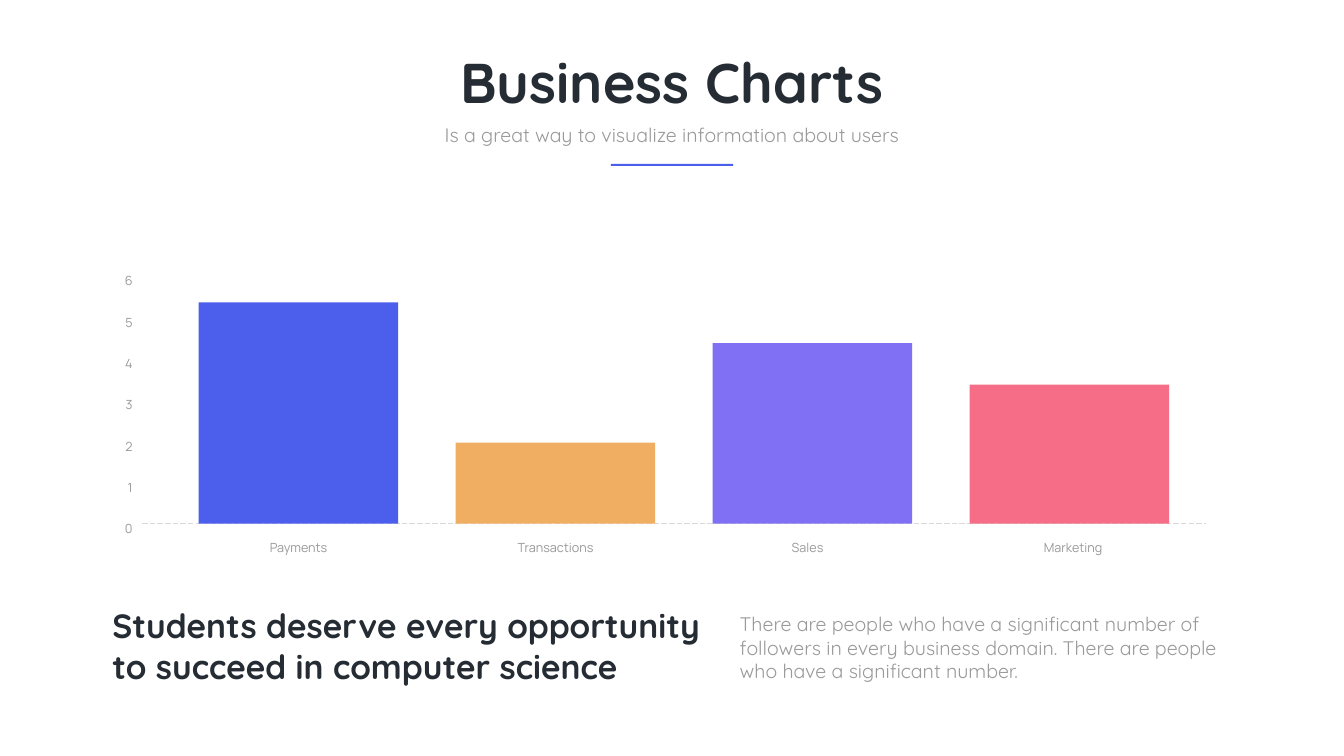
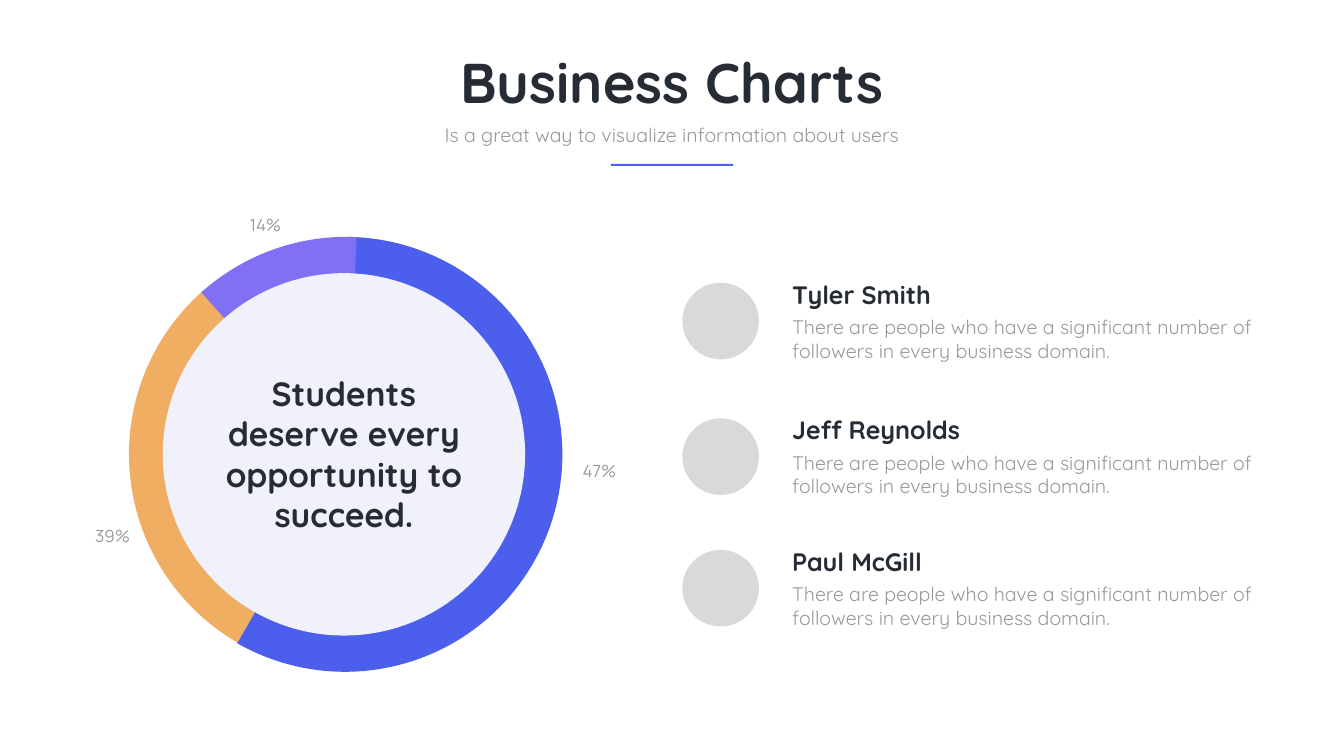
from dataclasses import dataclass
from lxml.etree import SubElement
from pptx import Presentation
from pptx.dml.color import RGBColor
from pptx.enum.dml import MSO_LINE
from pptx.enum.shapes import MSO_CONNECTOR, MSO_SHAPE
from pptx.enum.text import MSO_ANCHOR, MSO_AUTO_SIZE, PP_ALIGN
from pptx.oxml.ns import qn
from pptx.util import Pt

PX = 9144
PEOPLE_TEXT = "There are people who have a significant number of followers in every business domain."


@dataclass(frozen=True)
class Theme:
    """Colours, fonts and type styles shared by the slides."""

    ink: str = "252C34"
    grey: str = "999999"
    pale: str = "D9D9D9"
    lavender: str = "F0F1FA"
    blue: str = "4C5FEC"
    orange: str = "F0AE62"
    purple: str = "7F70F4"
    pink: str = "F56D87"
    heading_font: str = "Quicksand"
    label_font: str = "Manrope"
    label_spacing: float = 35.6

    def style(self, name):
        """Return font name, size, bold and colour for a text style."""
        return {
            "title": (self.heading_font, 80, True, self.ink),
            "statement": (self.heading_font, 48, True, self.ink),
            "name": (self.heading_font, 36, True, self.ink),
            "body": (self.heading_font, 28, False, self.grey),
            "value": (self.label_font, 24, False, self.grey),
            "axis": (self.label_font, 18, False, self.grey),
        }[name]


def apply(target, values):
    """Set every attribute named in a dict of format values."""
    for name, value in values.items():
        setattr(target, name, value)


def emu(*lengths):
    """Turn px lengths into EMU."""
    return [length * PX for length in lengths]


class SlideBuilder:
    """Holds the theme and the current slide and draws elements on it."""

    def __init__(self, deck, theme):
        self.deck = deck
        self.theme = theme
        self.page = None

    def start_page(self, title, subtitle):
        """Add a page with its title, subtitle and underline."""
        self.page = self.deck.slides.add_slide(self.deck.slide_layouts[5])
        box = self.page.shapes.title
        apply(box, dict(zip(("left", "top", "width", "height"), emu(688, 90, 1291, 145))))
        self.fill_text(box, title, "title", PP_ALIGN.CENTER)
        self.text((855, 238, 956, 57), subtitle, "body", PP_ALIGN.CENTER)
        self.shape(MSO_SHAPE.RECTANGLE, (1212, 325, 243, 4), self.theme.blue)

    def fill_text(self, box, words, style, align):
        """Fill a box with one formatted paragraph."""
        font_name, size, bold, colour = self.theme.style(style)
        frame = box.text_frame
        apply(frame, {"word_wrap": True, "vertical_anchor": MSO_ANCHOR.TOP,
                      "auto_size": MSO_AUTO_SIZE.SHAPE_TO_FIT_TEXT})
        para = frame.paragraphs[0]
        para.alignment = align
        if font_name == self.theme.label_font:
            para.line_spacing = Pt(self.theme.label_spacing)
        span = para.add_run()
        span.text = words
        apply(span.font, {"name": font_name, "size": Pt(size), "bold": bold})
        span.font.color.rgb = RGBColor.from_string(colour)

    def text(self, place, words, style, align=PP_ALIGN.LEFT):
        """Add a text box."""
        box = self.page.shapes.add_textbox(*emu(*place))
        self.fill_text(box, words, style, align)

    def shape(self, kind, place, colour):
        """Add a filled shape without outline or shadow."""
        shape = self.page.shapes.add_shape(kind, *emu(*place))
        shape.shadow.inherit = False
        shape.fill.solid()
        shape.fill.fore_color.rgb = RGBColor.from_string(colour)
        shape.line.fill.background()
        return shape

    def pie_slice(self, place, start, end, colour):
        """Add a pie slice between two angles in degrees."""
        pie = self.shape(MSO_SHAPE.PIE, place, colour)
        for index, angle in enumerate((start, end)):
            pie.adjustments[index] = angle * 0.6

    def dashed_line(self, left, right, height):
        """Add a horizontal dashed line."""
        line = self.page.shapes.add_connector(
            MSO_CONNECTOR.STRAIGHT, *emu(left, height, right, height))
        apply(line.line, {"width": Pt(1), "dash_style": MSO_LINE.LONG_DASH})
        line.line.color.rgb = RGBColor.from_string(self.theme.pale)
        SubElement(line._element.spPr, qn("a:effectLst"))


def build_bar_page(builder):
    """Draw the bar chart page."""
    theme = builder.theme
    unit, base = 82, 1039
    builder.start_page("Business Charts", "Is a great way to visualize information about users")
    builder.dashed_line(282, 2393, 1038)
    bars = [
        ("Payments", 5.35, theme.blue, 467),
        ("Transactions", 1.96, theme.orange, 977),
        ("Sales", 4.37, theme.purple, 1477),
        ("Marketing", 3.37, theme.pink, 2004),
    ]
    for index, (category, value, colour, label_left) in enumerate(bars):
        height = round(value * unit)
        builder.shape(MSO_SHAPE.RECTANGLE, (394 + 510 * index, base - height, 396, height), colour)
        builder.text((label_left, 1046, 251, 56), category, "axis", PP_ALIGN.CENTER)
    for tick in range(7):
        builder.text((165, 1010 - unit * tick, 108, 47), str(tick), "axis", PP_ALIGN.RIGHT)
    builder.text((213, 1196, 1219, 172),
                 "Students deserve every opportunity to succeed in computer science", "statement")
    builder.text((1458, 1210, 985, 151),
                 "There are people who have a significant number of followers in every business "
                 "domain. There are people who have a significant number.", "body")


def build_ring_page(builder):
    """Draw the ring chart page with its people list."""
    theme = builder.theme
    builder.start_page("Business Charts", "Is a great way to visualize information about users")
    slices = [
        (253, 270.65, 119.85, theme.blue),
        (256, 120.06, 228.47, theme.orange),
        (256, 228.13, 272.71, theme.purple),
    ]
    for left, start, end, colour in slices:
        builder.pie_slice((left, 470, 863, 863), start, end, colour)
    builder.shape(MSO_SHAPE.OVAL, (323, 542, 719, 719), theme.lavender)
    builder.text((437, 735, 491, 333), "Students deserve every opportunity to succeed.",
                 "statement", PP_ALIGN.CENTER)
    for left, top, share in ((466, 412, "14%"), (1129, 899, "47%"), (163, 1029, "39%")):
        builder.text((left, top, 121, 58), share, "value", PP_ALIGN.CENTER)
    for top, person in ((561, "Tyler Smith"), (830, "Jeff Reynolds"), (1091, "Paul McGill")):
        builder.shape(MSO_SHAPE.OVAL, (1354, top, 152, 152), theme.pale)
        builder.text((1562, top - 12, 775, 71), person, "name")
        builder.text((1562, top + 59, 965, 104), PEOPLE_TEXT, "body")


def main():
    """Build and save the deck."""
    deck = Presentation()
    apply(deck, dict(zip(("slide_width", "slide_height"), emu(2667, 1500))))
    builder = SlideBuilder(deck, Theme())
    build_bar_page(builder)
    build_ring_page(builder)
    deck.save("out.pptx")


if __name__ == "__main__":
    main()
